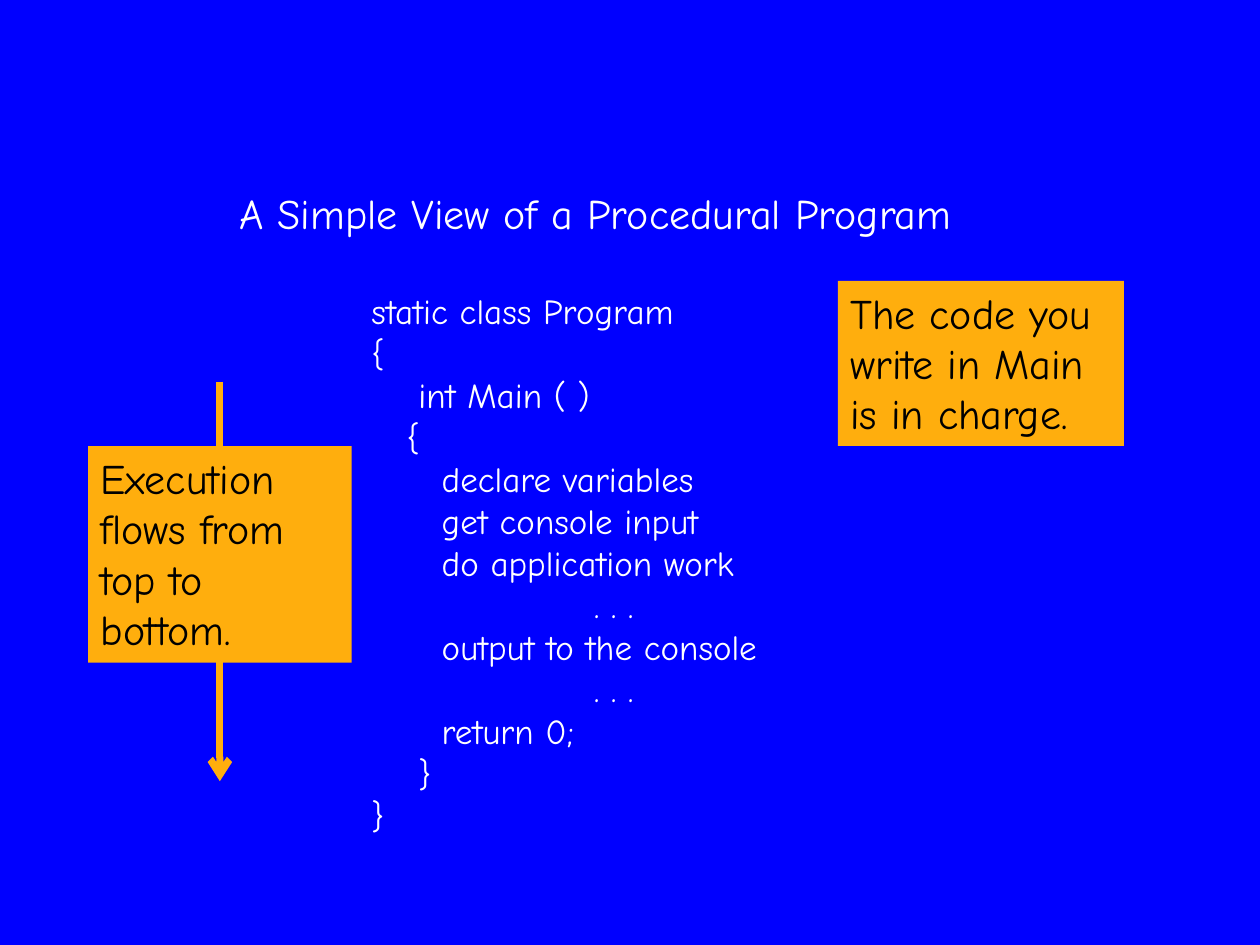
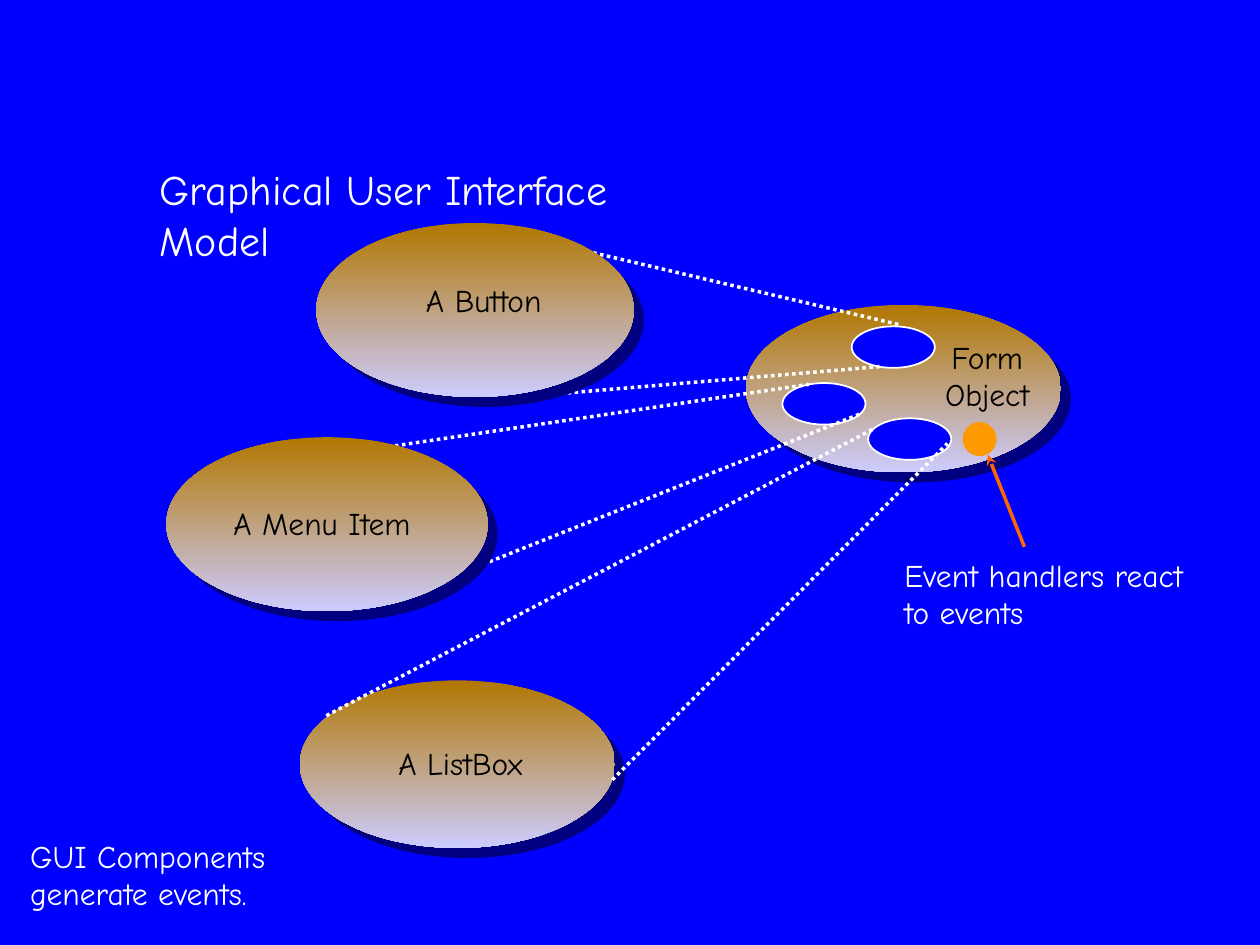
from pptx import Presentation
from pptx.dml.color import RGBColor
from pptx.enum import dml, shapes, text
from pptx.oxml.ns import qn
from pptx.util import Inches, Pt
from lxml import etree

FONT = "Comic Neue"
BLUE, NAVY, WHITE, BLACK = "0000FF", "000080", "FFFFFF", "000000"
AMBER, ORANGE, RED_ORANGE = "FFAE0D", "FF9900", "FF6600"
BROWN, LAVENDER = "B27700", "CCCCFF"
SPACE_WIDTH = 0.093  # inches per column of code indent
SHADOW_OFFSET = 0.08

# Slide 1: boxes are (left, top, width, height)
PROCEDURAL_TITLE = ("A Simple View of a Procedural Program", (1.8, 1.44, 6.46, 0.5))
CODE_BOX = (2.85, 2.25, 3.57, 4.48)
CODE = [  # (columns of indent, line)
    (0, "static class Program"),
    (0, "{"),
    (4, "int Main ( )"),
    (3, "{"),
    (6, "declare variables"),
    (6, "get console input"),
    (6, "do application work"),
    (19, ". . ."),
    (6, "output to the console"),
    (19, ". . ."),
    (6, "return 0;"),
    (4, "}"),
    (0, "}"),
]
FLOW_BOX = (0.7, 3.54, 2.09, 1.72)
FLOW_SPAN = (3.03, 6.2)
NOTES = [
    (["The code you", "write in Main", "is in charge."], (6.65, 2.23, 2.27, 1.31)),
    (["Execution flows from top to", "bottom."], FLOW_BOX),
]

# Slide 2
GUI_TITLE = ("Graphical User Interface Model", (1.17, 1.25, 4.37, 0.43))
BACK_OVALS = [(5.92, 2.42, 2.5, 1.33), (2.38, 5.4, 2.5, 1.33)]  # form, list box
FRONT_OVALS = [(2.51, 1.77, 2.52, 1.38), (1.32, 3.47, 2.55, 1.38)]  # button, menu item
HANDLER_SIZE = (0.66, 0.33)
HANDLERS = [(6.76, 2.59), (6.21, 3.04), (6.89, 3.32)]
SIGHT_LINES = [
    ((4.86, 6.19), (7.52, 3.52)),
    ((2.59, 5.68), (6.94, 3.4)),
    ((3.73, 4.52), (6.84, 3.28)),
    ((2.25, 3.67), (6.42, 3.05)),
    ((3.78, 3.18), (6.98, 2.91)),
    ((4, 1.84), (7.15, 2.58)),
]
EVENT_DOT = (7.64, 3.35, 0.27, 0.27)
EVENT_ARROW = ((7.84, 3.61), (8.13, 4.34))
OVAL_LABELS = [
    (["Form", "Object"], (7.32, 2.63, 1.03, 0.7)),
    (["A ListBox"], (2.98, 5.86, 1.35, 0.4)),
    (["A Button"], (3.21, 2.18, 1.26, 0.4)),
    (["A Menu Item"], (1.68, 3.95, 1.75, 0.4)),
]
CAPTIONS = [
    (["GUI Components", "generate events."], (0.14, 6.59, 2.24, 0.71)),
    (["Event handlers react", "to events"], (7.08, 4.36, 2.67, 0.71)),
]


def color(value):
    return RGBColor.from_string(value)


def write(shape, lines, size=18, ink=WHITE, align=text.PP_ALIGN.LEFT, indents=None):
    """Fill a shape with one paragraph per line."""
    frame = shape.text_frame
    frame.word_wrap = True
    frame.vertical_anchor = text.MSO_ANCHOR.TOP
    for index, line in enumerate(lines):
        paragraph = frame.paragraphs[0] if index == 0 else frame.add_paragraph()
        paragraph.alignment = align
        if indents and indents[index]:
            margin = Inches(indents[index] * SPACE_WIDTH)
            paragraph._p.get_or_add_pPr().set("marL", str(margin))
        run = paragraph.add_run()
        run.text = line
        run.font.name, run.font.size = FONT, Pt(size)
        run.font.color.rgb = color(ink)


def add_text(slide, lines, box, **style):
    write(slide.shapes.add_textbox(*map(Inches, box)), lines, **style)


def add_shape(parent, kind, box, fill=None, line=None):
    shape = parent.shapes.add_shape(kind, *map(Inches, box))
    shape.shadow.inherit = False
    if fill:
        shape.fill.solid()
        shape.fill.fore_color.rgb = color(fill)
    if line:
        shape.line.color.rgb = color(line)
        shape.line.width = Pt(1)
    else:
        shape.line.fill.background()
    return shape


def add_line(slide, start, end, ink, width=2, dash=None, head=None, tail=None):
    connector = slide.shapes.add_connector(
        shapes.MSO_CONNECTOR.STRAIGHT, *map(Inches, (*start, *end)))
    connector.line.color.rgb = color(ink)
    connector.line.width = Pt(width)
    if dash:
        connector.line.dash_style = dash
    outline = connector.line._get_or_add_ln()
    for tag, arrow in (("a:headEnd", head), ("a:tailEnd", tail)):
        if arrow:
            etree.SubElement(outline, qn(tag), type=arrow)
    etree.SubElement(connector._element.spPr, qn("a:effectLst"))


def add_shaded_oval(slide, box):
    """Group a gradient oval with the navy oval that shades it."""
    left, top, width, height = box
    group = slide.shapes.add_group_shape()
    shade = (left + SHADOW_OFFSET, top + SHADOW_OFFSET, width, height)
    add_shape(group, shapes.MSO_SHAPE.OVAL, shade, NAVY)
    oval = add_shape(group, shapes.MSO_SHAPE.OVAL, box)
    oval.fill.gradient()
    oval.fill.gradient_angle = 270
    for stop, shade_color in zip(oval.fill.gradient_stops, (BROWN, LAVENDER)):
        stop.color.rgb = color(shade_color)


def add_slide(presentation, title, box):
    slide = presentation.slides.add_slide(presentation.slide_layouts[6])
    add_text(slide, [title], box, size=24)
    return slide


def build_procedural_slide(presentation):
    slide = add_slide(presentation, *PROCEDURAL_TITLE)
    # Flow arrow runs behind the centre of its note
    center = FLOW_BOX[0] + FLOW_BOX[2] / 2
    start, end = ((center, y) for y in FLOW_SPAN)
    add_line(slide, start, end, AMBER, width=4, tail="arrow")
    indents, lines = zip(*CODE)
    add_text(slide, lines, CODE_BOX, size=20, indents=indents)
    for note, box in NOTES:
        shape = add_shape(slide, shapes.MSO_SHAPE.RECTANGLE, box, AMBER)
        write(shape, note, size=24, ink=BLACK)


def build_gui_slide(presentation):
    slide = add_slide(presentation, *GUI_TITLE)
    for box in BACK_OVALS:
        add_shaded_oval(slide, box)
    # Handlers inside the form, each tied to its component by two lines
    for corner in HANDLERS:
        add_shape(slide, shapes.MSO_SHAPE.OVAL, corner + HANDLER_SIZE, BLUE, WHITE)
    for start, end in SIGHT_LINES:
        add_line(slide, start, end, WHITE, dash=dml.MSO_LINE.ROUND_DOT)
    # Event dot and its pointer
    add_shape(slide, shapes.MSO_SHAPE.OVAL, EVENT_DOT, ORANGE)
    add_line(slide, *EVENT_ARROW, RED_ORANGE, head="stealth")
    for box in FRONT_OVALS:
        add_shaded_oval(slide, box)
    # Labels and captions
    for lines, box in OVAL_LABELS:
        add_text(slide, lines, box, ink=BLACK, align=text.PP_ALIGN.CENTER)
    for lines, box in CAPTIONS:
        add_text(slide, lines, box)


def main():
    presentation = Presentation()
    presentation.slide_width, presentation.slide_height = Inches(10), Inches(7.5)
    background = presentation.slide_master.background.fill
    background.solid()
    background.fore_color.rgb = color(BLUE)
    build_procedural_slide(presentation)
    build_gui_slide(presentation)
    presentation.save("out.pptx")


if __name__ == "__main__":
    main()
